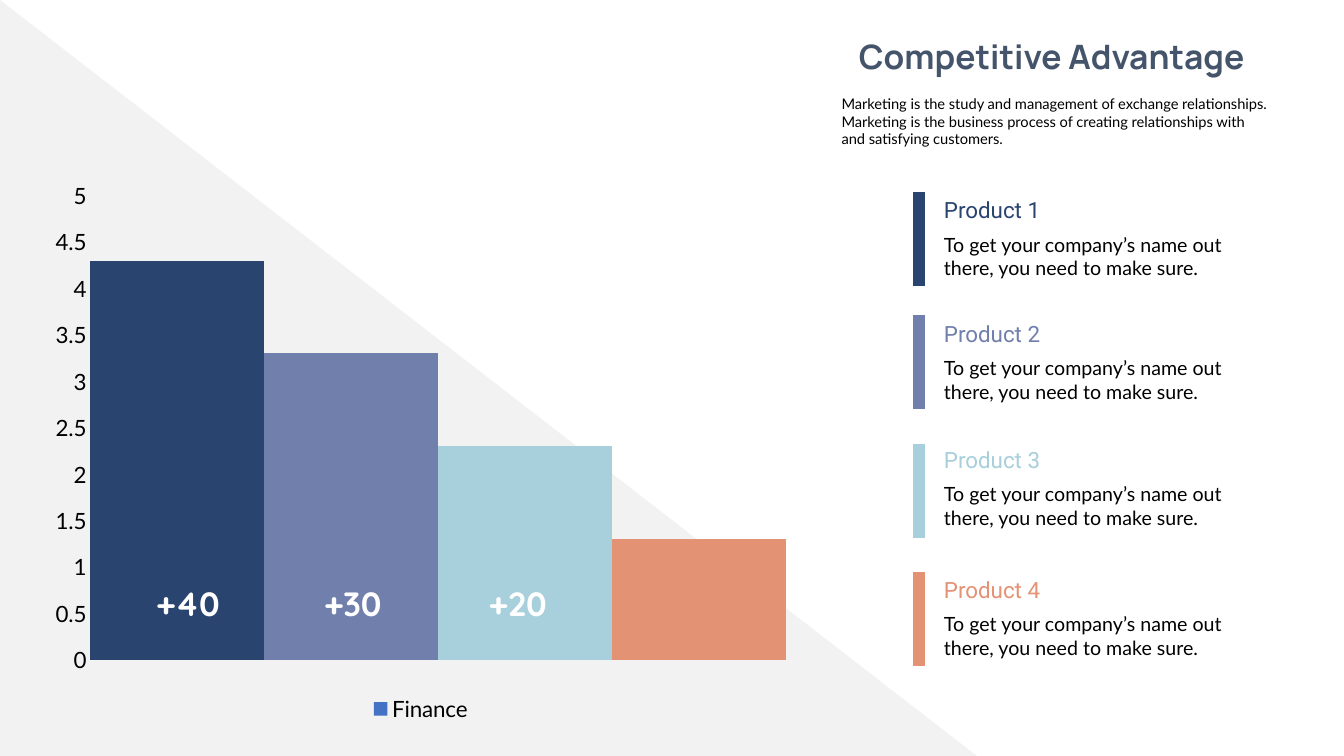
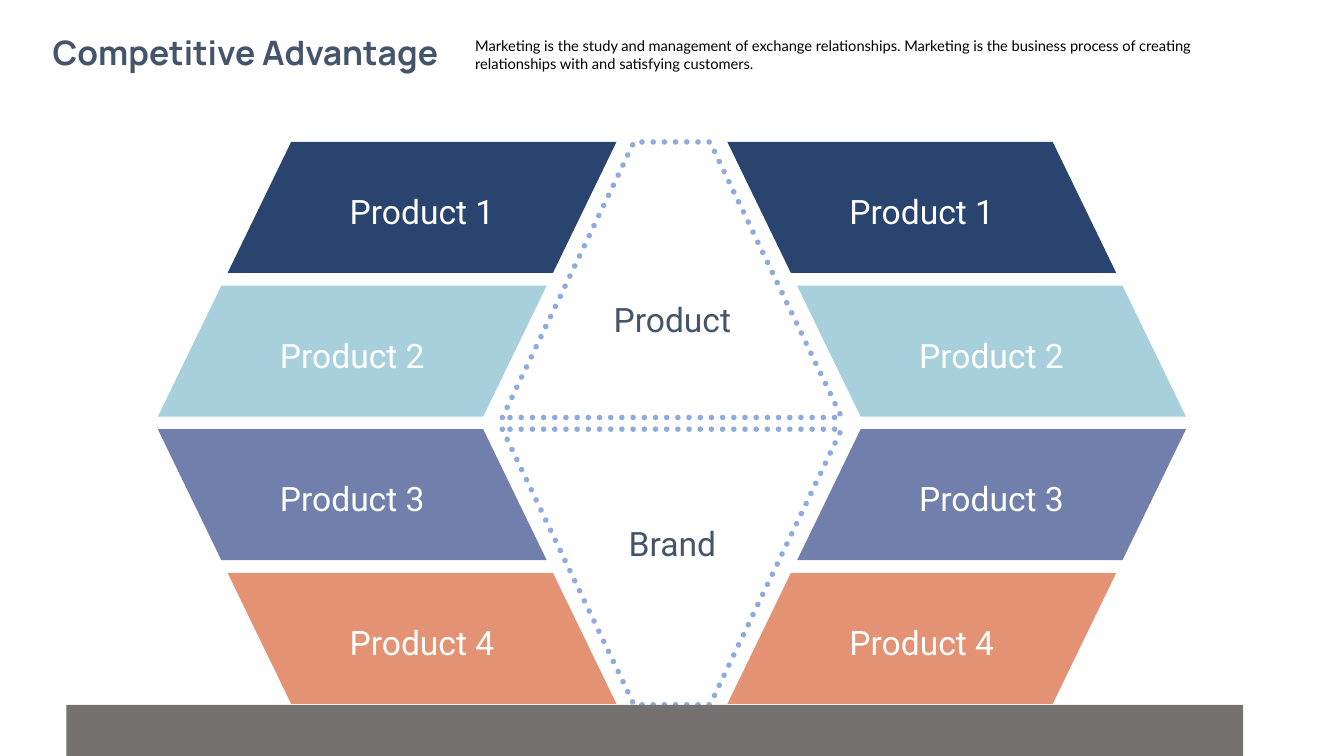
import dataclasses

import lxml.etree
import pptx
import pptx.chart.data
import pptx.dml.color
import pptx.enum.chart
import pptx.enum.dml
import pptx.enum.shapes
import pptx.enum.text
import pptx.oxml.ns
import pptx.util

COLUMNS, ROWS = 160, 90
CELL = pptx.util.Inches(1) // 12
Shape = pptx.enum.shapes.MSO_SHAPE
Align = pptx.enum.text.PP_ALIGN


@dataclasses.dataclass(frozen=True)
class Style:
    font: str
    size: float
    bold: bool = False


@dataclasses.dataclass(frozen=True)
class Theme:
    navy: str = "29446F"
    violet: str = "717FAC"
    sky: str = "A7CFDC"
    coral: str = "E39274"
    slate: str = "44546A"
    ink: str = "000000"
    paper: str = "FFFFFF"
    wedge: str = "F2F2F2"
    ground: str = "767171"
    outline: str = "8FAADC"
    series: str = "4472C4"
    title: Style = Style("Manrope", 24, True)
    intro: Style = Style("Lato", 10.5)
    axis: Style = Style("Lato", 16)
    badge: Style = Style("Quicksand", 24, True)
    heading: Style = Style("Roboto", 16)
    body: Style = Style("Lato", 14)
    label: Style = Style("Roboto", 24)


THEME = Theme()


@dataclasses.dataclass(frozen=True)
class Box:
    x: float
    y: float
    w: float
    h: float

    def area(self, x, y, w, h):
        return Box(self.x + x, self.y + y, w, h)

    def emu(self):
        return [round(side * CELL) for side in (self.x, self.y, self.w, self.h)]


PAGE = Box(0, 0, COLUMNS, ROWS)


def rgb(colour):
    return pptx.dml.color.RGBColor.from_string(colour)


def set_font(font, style, colour):
    font.name, font.size, font.bold = style.font, pptx.util.Pt(style.size), style.bold
    font.color.rgb = rgb(colour)


def write(frame, text, style, colour, align=Align.LEFT, wrap=True):
    frame.text = text
    frame.word_wrap = wrap
    paragraph = frame.paragraphs[0]
    paragraph.alignment = align
    set_font(paragraph.runs[0].font, style, colour)


def add_text(slide, box, text, style, colour, align=Align.LEFT, wrap=True):
    frame = slide.shapes.add_textbox(*box.emu()).text_frame
    write(frame, text, style, colour, align, wrap)
    frame.auto_size = pptx.enum.text.MSO_AUTO_SIZE.SHAPE_TO_FIT_TEXT


def paint(shape, fill):
    shape.shadow.inherit = False
    shape.fill.solid()
    shape.fill.fore_color.rgb = rgb(fill)
    shape.line.fill.background()


def flip(shape, axis):
    shape.element.spPr.find(pptx.oxml.ns.qn("a:xfrm")).set(axis, "1")


def add_header(slide, title_box, intro_box):
    add_text(slide, title_box, "Competitive Advantage", THEME.title, THEME.slate, Align.CENTER, False)
    add_text(
        slide,
        intro_box,
        "Marketing is the study and management of exchange relationships. "
        "Marketing is the business process of creating relationships with and satisfying customers.",
        THEME.intro,
        THEME.ink,
    )


def add_wedge(slide, box):
    left, top, width, height = box.emu()
    builder = slide.shapes.build_freeform(left, top + height, scale=1.0)
    builder.add_line_segments([(left, top), (left + width, top + height)], close=True)
    paint(builder.convert_to_shape(), THEME.wedge)


def add_finance_chart(slide, box, colours):
    finance = pptx.chart.data.CategoryChartData()
    finance.categories = ["1", "2", "3", "4"]
    finance.add_series("Finance", (4.3, 3.3, 2.3, 1.3))
    chart = slide.shapes.add_chart(
        pptx.enum.chart.XL_CHART_TYPE.COLUMN_STACKED, *box.emu(), finance
    ).chart
    set_font(chart.font, THEME.axis, THEME.ink)
    chart.has_title = False
    chart.has_legend = True
    chart.legend.position = pptx.enum.chart.XL_LEGEND_POSITION.BOTTOM
    chart.legend.include_in_layout = False
    set_font(chart.legend.font, THEME.axis, THEME.ink)
    chart.category_axis.visible = False
    scale = chart.value_axis
    scale.has_major_gridlines = False
    scale.major_tick_mark = scale.minor_tick_mark = pptx.enum.chart.XL_TICK_MARK.NONE
    scale.format.line.fill.background()
    set_font(scale.tick_labels.font, THEME.axis, THEME.ink)
    plot = chart.plots[0]
    plot.vary_by_categories = False
    plot.gap_width, plot.overlap = 0, 100
    columns = plot.series[0]
    columns.format.fill.solid()
    columns.format.fill.fore_color.rgb = rgb(THEME.series)
    for index, colour in enumerate(colours):
        fill = columns.points[index].format.fill
        fill.solid()
        fill.fore_color.rgb = rgb(colour)


def add_badges(slide, box):
    for x, gain in ((0, "+40"), (20, "+30"), (39.6, "+20")):
        add_text(slide, box.area(x, 0, 14.9, box.h), gain, THEME.badge, THEME.paper)


def add_product(slide, box, name, colour, lift):
    left, top, _, height = box.emu()
    bar = slide.shapes.add_connector(
        pptx.enum.shapes.MSO_CONNECTOR.STRAIGHT, left, top, left, top + height
    )
    bar.line.color.rgb = rgb(colour)
    bar.line.width = pptx.util.Pt(9)
    lxml.etree.SubElement(bar.element.spPr, pptx.oxml.ns.qn("a:effectLst"))
    add_text(slide, box.area(1.8, -lift, 31.8, 4.4), name, THEME.heading, colour)
    add_text(
        slide,
        box.area(1.8, 4.3 - lift, 39.7, 6.9),
        "To get your company’s name out there, you need to make sure.",
        THEME.body,
        THEME.ink,
    )


def add_wing_tile(slide, box, name, colour, mirrored):
    tile = slide.shapes.add_shape(Shape.PARALLELOGRAM, *box.emu())
    tile.adjustments[0] = 0.485
    paint(tile, colour)
    if mirrored:
        flip(tile, "flipH")
    write(tile.text_frame, name, THEME.label, THEME.paper, Align.CENTER, False)
    tile.text_frame.vertical_anchor = pptx.enum.text.MSO_ANCHOR.MIDDLE
    tile.text_frame.margin_top = pptx.util.Inches(0.12)


def add_wings(slide, box, colours):
    width, height, step = 46.3, 15.6, 17.1
    for row, colour in enumerate(colours):
        inset = 8.3 if row in (0, 3) else 0
        lower = row >= 2
        for x, mirrored in ((inset, lower), (box.w - inset - width, not lower)):
            tile_box = box.area(x, row * step, width, height)
            add_wing_tile(slide, tile_box, f"Product {row + 1}", colour, mirrored)


def add_core(slide, box):
    height = 32.8
    halves = (("Product", 0, 18.1, False), ("Brand", box.h - height, 44.8, True))
    for name, y, label_y, inverted in halves:
        half = slide.shapes.add_shape(Shape.TRAPEZOID, *box.area(0, y, box.w, height).emu())
        half.adjustments[0] = 0.478
        half.shadow.inherit = False
        half.fill.background()
        half.line.color.rgb = rgb(THEME.outline)
        half.line.width = pptx.util.Pt(4)
        half.line.dash_style = pptx.enum.dml.MSO_LINE.ROUND_DOT
        half.element.spPr.find(pptx.oxml.ns.qn("a:ln")).set("cap", "rnd")
        if inverted:
            flip(half, "flipV")
        add_text(slide, box.area(8.5, label_y, 23.5, 6), name, THEME.label, THEME.slate, Align.CENTER)


def build_chart_slide(slide, page):
    colours = (THEME.navy, THEME.violet, THEME.sky, THEME.coral)
    add_wedge(slide, page.area(0, 0, 116.3, page.h))
    add_header(slide, page.area(99, 3.7, 52.4, 6), page.area(99, 10.7, 53.6, 7.6))
    add_finance_chart(slide, page.area(4.8, 20.4, 90.6, 66.1), colours)
    add_badges(slide, page.area(17.4, 68.8, 54.5, 6))
    placements = ((22.8, 0), (37.5, 0), (52.8, 0.3), (68.1, 0.1))
    for number, ((y, lift), colour) in enumerate(zip(placements, colours), 1):
        add_product(slide, page.area(109.4, y, 41.5, 11.2), f"Product {number}", colour, lift)


def build_hexagon_slide(slide, page):
    add_header(slide, page.area(3, 3.2, 52.4, 6), page.area(55.4, 3.8, 92.6, 5.4))
    diagram = page.area(18.8, 16.9, 122.4, 67)
    add_wings(slide, diagram, (THEME.navy, THEME.sky, THEME.violet, THEME.coral))
    add_core(slide, diagram.area(41, 0, 40.4, diagram.h))
    ground = slide.shapes.add_shape(Shape.RECTANGLE, *page.area(7.9, 83.9, 140.1, 6.1).emu())
    paint(ground, THEME.ground)


def main():
    deck = pptx.Presentation()
    deck.slide_width, deck.slide_height = COLUMNS * CELL, ROWS * CELL
    for build in (build_chart_slide, build_hexagon_slide):
        build(deck.slides.add_slide(deck.slide_layouts[6]), PAGE)
    deck.save("out.pptx")


if __name__ == "__main__":
    main()
